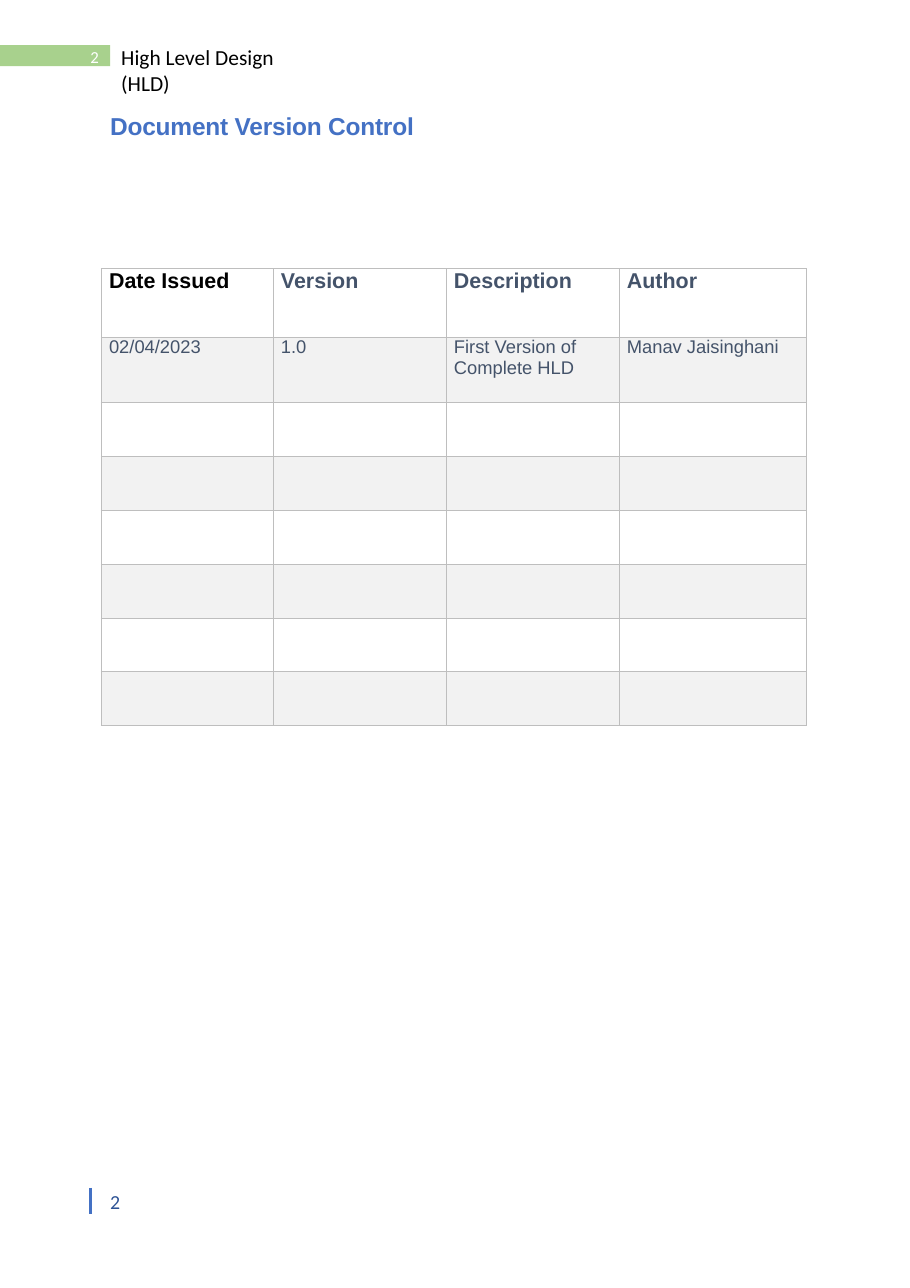
"""Build the document version control page of a high level design."""
from lxml import etree
from pptx import Presentation
from pptx.dml.color import RGBColor
from pptx.enum.shapes import MSO_CONNECTOR, MSO_SHAPE
from pptx.enum.text import MSO_ANCHOR, MSO_AUTO_SIZE, PP_ALIGN
from pptx.oxml import parse_xml
from pptx.oxml.ns import nsdecls, qn
from pptx.util import Inches, Pt

STRAIGHT, RECTANGLE = MSO_CONNECTOR.STRAIGHT, MSO_SHAPE.RECTANGLE
TOP, LEFT, NO_AUTOFIT = MSO_ANCHOR.TOP, PP_ALIGN.LEFT, MSO_AUTO_SIZE.NONE

TITLE = "Document Version Control"
HEADINGS = ("Date Issued", "Version", "Description", "Author")
VERSIONS = [("02/04/2023", "1.0", "First Version of Complete HLD", "Manav Jaisinghani")]
EMPTY_ROWS = 6

WIDTH, HEIGHT = Inches(8.26), Inches(11.69)
TITLE_BOX = (12.11, 8.64, 36, 2.14)
TAB_BOX = (0, 3.51, 12.11, 1.63)
FOOTER_RULE = (9.93, 92.22, 0, 2.05)
LABELS = [
    ("2", (9.93, 3.59, 1.5, 1.54), "tab_number"),
    ("2", (12.11, 92.39, 1.82, 1.8), "page_number"),
    ("High Level Design (HLD)", (13.32, 3.42, 21.2, 3.9), "header"),
]
TABLE_CORNER = (11.14, 20.87)
COLUMN_SHARES = (18.89, 19.01, 19.01, 20.58)
ROW_SHARES = (5.3, 5.05) + (4.19,) * EMPTY_ROWS

THEME = {
    "tab": "A8D18D", "rule": "4471C4", "rule_width": 1.54,
    "border": "BEBEBE", "border_width": 0.58, "rows": ("FFFFFF", "F2F2F2"),
    "tab_number": {"name": "Calibri", "size": 11, "color": "FFFFFF", "bold": False},
    "page_number": {"name": "Calibri", "size": 13, "color": "2E5395", "bold": False},
    "header": {"name": "Calibri", "size": 14, "color": "000000", "bold": False},
    "title": {"name": "Arial", "size": 16, "color": "4471C4", "bold": True},
    "first_heading": {"name": "Arial", "size": 14, "color": "000000", "bold": True},
    "heading": {"name": "Arial", "size": 14, "color": "44536A", "bold": True},
    "body": {"name": "Arial", "size": 12, "color": "44536A", "bold": False},
}
FRAME_FORMAT = {
    "margin_left": 0, "margin_right": 0, "margin_top": 0, "margin_bottom": 0,
    "word_wrap": True, "auto_size": NO_AUTOFIT, "vertical_anchor": TOP,
}
CELL_FORMAT = {
    "margin_left": Inches(0.07), "margin_right": 0, "margin_top": 0,
    "margin_bottom": 0, "vertical_anchor": TOP,
}


def across(share):
    return round(WIDTH * share / 100)


def down(share):
    return round(HEIGHT * share / 100)


def place(box):
    left, top, width, height = box
    return across(left), down(top), across(width), down(height)


def apply_format(target, values):
    for name, value in values.items():
        setattr(target, name, value)


def write(frame, text, style):
    paragraph = frame.paragraphs[0]
    paragraph.alignment = LEFT
    run = paragraph.add_run()
    run.text = text
    values = dict(THEME[style])
    run.font.color.rgb = RGBColor.from_string(values.pop("color"))
    values["size"] = Pt(values["size"])
    apply_format(run.font, values)
    return run


def add_title(slide):
    title = slide.shapes.title
    apply_format(title, dict(zip(("left", "top", "width", "height"), place(TITLE_BOX))))
    apply_format(title.text_frame, FRAME_FORMAT)
    run = write(title.text_frame, TITLE, "title")
    run.font._element.set("spc", "-10")


def add_marks(slide):
    tab = slide.shapes.add_shape(RECTANGLE, *place(TAB_BOX))
    tab.shadow.inherit = False
    tab.fill.solid()
    tab.fill.fore_color.rgb = RGBColor.from_string(THEME["tab"])
    tab.line.fill.background()
    left, top, width, height = place(FOOTER_RULE)
    rule = slide.shapes.add_connector(STRAIGHT, left, top, left + width, top + height)
    rule.line.color.rgb = RGBColor.from_string(THEME["rule"])
    rule.line.width = Pt(THEME["rule_width"])
    etree.SubElement(rule._element.spPr, qn("a:effectLst"))


def add_labels(slide):
    for text, box, style in LABELS:
        frame = slide.shapes.add_textbox(*place(box)).text_frame
        apply_format(frame, FRAME_FORMAT)
        write(frame, text, style)


def add_borders(cell):
    properties = cell._tc.get_or_add_tcPr()
    for side in ("lnL", "lnR", "lnT", "lnB"):
        properties.append(parse_xml(
            f'<a:{side} {nsdecls("a")} w="{Pt(THEME["border_width"])}"><a:solidFill>'
            f'<a:srgbClr val="{THEME["border"]}"/></a:solidFill></a:{side}>'))


def add_version_table(slide):
    rows = [HEADINGS, *VERSIONS] + [("",) * len(HEADINGS)] * EMPTY_ROWS
    box = (*TABLE_CORNER, sum(COLUMN_SHARES), sum(ROW_SHARES))
    table = slide.shapes.add_table(len(rows), len(HEADINGS), *place(box)).table
    apply_format(table, {"first_row": False, "horz_banding": False})
    for column, share in zip(table.columns, COLUMN_SHARES):
        column.width = across(share)
    for row, share in zip(table.rows, ROW_SHARES):
        row.height = down(share)
    for row_index, texts in enumerate(rows):
        for column_index, text in enumerate(texts):
            cell = table.cell(row_index, column_index)
            apply_format(cell, CELL_FORMAT)
            add_borders(cell)
            cell.fill.solid()
            cell.fill.fore_color.rgb = RGBColor.from_string(THEME["rows"][row_index % 2])
            if text:
                heading = "heading" if column_index else "first_heading"
                write(cell.text_frame, text, "body" if row_index else heading)


def main():
    presentation = Presentation()
    presentation.slide_width, presentation.slide_height = WIDTH, HEIGHT
    slide = presentation.slides.add_slide(presentation.slide_layouts[5])
    add_marks(slide)
    add_labels(slide)
    add_title(slide)
    add_version_table(slide)
    presentation.save("out.pptx")


if __name__ == "__main__":
    main()
